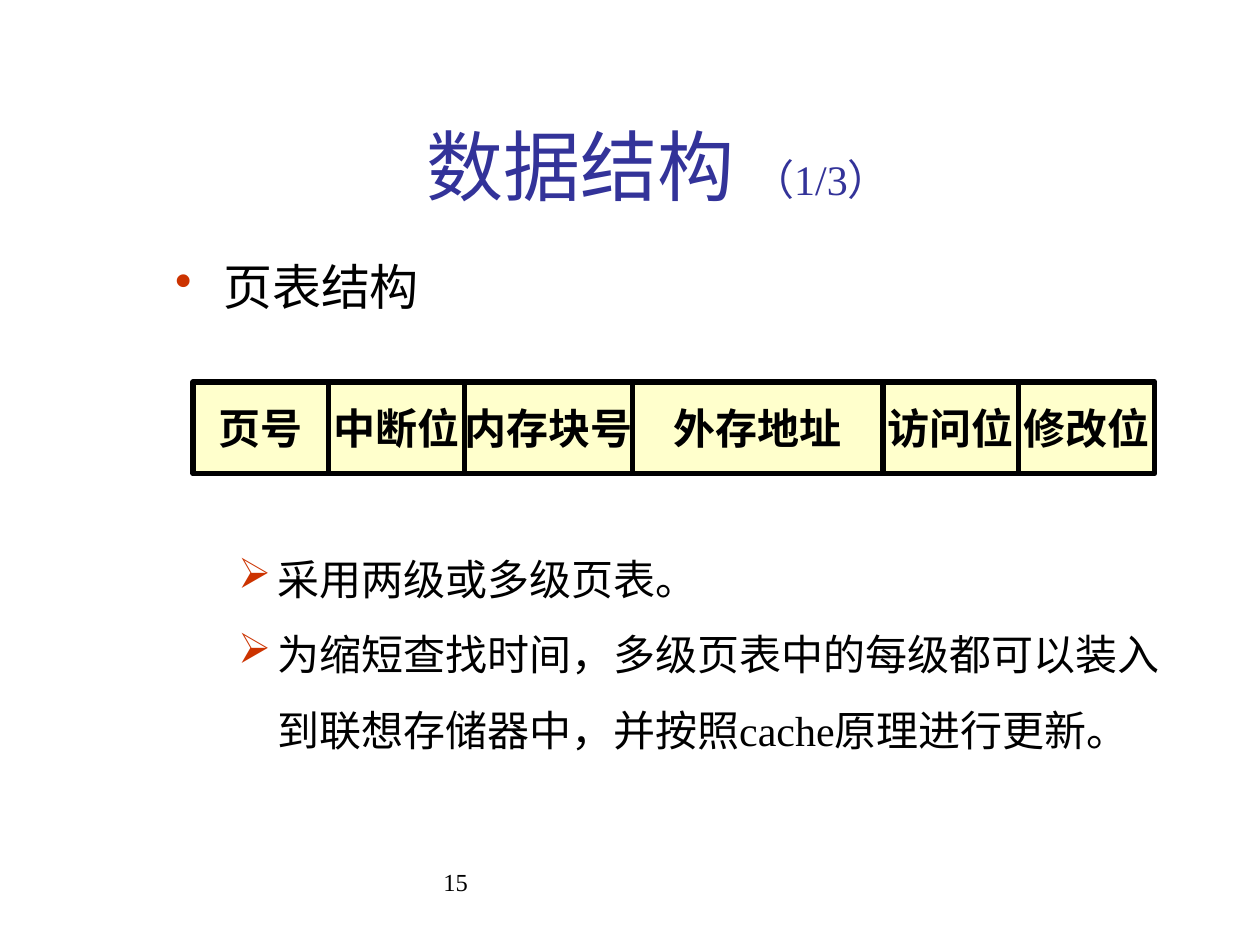
from lxml.etree import SubElement
from pptx import Presentation
from pptx.dml.color import RGBColor
from pptx.enum.shapes import MSO_SHAPE
from pptx.enum.text import MSO_ANCHOR, PP_ALIGN
from pptx.oxml.ns import qn
from pptx.util import Cm, Pt

SERIF = "Times New Roman"
BLACK, BLUE, RED, CREAM = "000000", "333399", "CC3300", "FFFFCC"
FIELDS = [("页号", 2.74), ("中断位", 2.74), ("内存块号", 3.38),
          ("外存地址", 5.05), ("访问位", 2.74), ("修改位", 2.74)]
TOPIC = dict(size=28, indent=0.97, hanging=0.97, bullet="•",
             format=dict(line_spacing=0.9))
POINT = dict(size=24, indent=2.06, hanging=0.79, bullet="➢")
BODY = [
    ("页表结构", TOPIC),
    ("采用两级或多级页表。",
     dict(POINT, format=dict(line_spacing=1.5, space_before=Pt(121)))),
    ("为缩短查找时间，多级页表中的每级都可以装入到联想存储器中，并按照cache原理进行更新。",
     dict(POINT, format=dict(line_spacing=1.5, space_before=Pt(0)))),
]


def color(value):
    return RGBColor.from_string(value)


def apply(target, values):
    for name, value in values.items():
        setattr(target, name, value)


def add_run(p, text, size, fill=BLACK, name=SERIF, bold=False):
    r = p.add_run()
    r.text = text
    apply(r.font, dict(size=Pt(size), name=name, bold=bold))
    r.font.color.rgb = color(fill)


def add_box(s, left, top, width, height, anchor=MSO_ANCHOR.TOP):
    sp = s.shapes.add_textbox(Cm(left), Cm(top), Cm(width), Cm(height))
    tf = sp.text_frame
    apply(tf, dict(word_wrap=True, vertical_anchor=anchor))
    return tf


def add_bullet(p, char, indent, hanging):
    pPr = p._p.get_or_add_pPr()
    pPr.set("marL", str(Cm(indent)))
    pPr.set("indent", str(-Cm(hanging)))
    clr = SubElement(pPr, qn("a:buClr"))
    SubElement(clr, qn("a:srgbClr"), val=RED)
    SubElement(pPr, qn("a:buChar"), char=char)


def add_title(s):
    tf = add_box(s, 3.07, 2.16, 20.4, 2.31, MSO_ANCHOR.MIDDLE)
    p = tf.paragraphs[0]
    p.alignment = PP_ALIGN.CENTER
    add_run(p, "数据结构 ", 44, BLUE)
    add_run(p, "（1/3）", 24, BLUE)


def add_body(s):
    tf = add_box(s, 3.28, 5.18, 20.8, 11)
    for i, (text, style) in enumerate(BODY):
        p = tf.add_paragraph() if i else tf.paragraphs[0]
        add_bullet(p, style["bullet"], style["indent"], style["hanging"])
        apply(p, style["format"])
        add_run(p, text, style["size"])


def add_field(row, text, left, width):
    sp = row.shapes.add_shape(MSO_SHAPE.RECTANGLE, Cm(left), Cm(7.7),
                              Cm(width), Cm(1.85))
    sp.shadow.inherit = False
    sp.fill.solid()
    sp.fill.fore_color.rgb = color(CREAM)
    sp.line.color.rgb = color(BLACK)
    sp.line.width = Pt(3)
    tf = sp.text_frame
    apply(tf, dict(word_wrap=False, vertical_anchor=MSO_ANCHOR.MIDDLE))
    p = tf.paragraphs[0]
    p.alignment = PP_ALIGN.CENTER
    add_run(p, text, 24, name="Arial", bold=True)


def add_page_entry(s):
    row = s.shapes.add_group_shape()
    left = 3.89
    for text, width in FIELDS:
        add_field(row, text, left, width)
        left += width


def add_number(s):
    tf = add_box(s, 8.69, 17.35, 8.05, 1.27)
    add_run(tf.paragraphs[0], "15", 14)


def main():
    prs = Presentation()
    apply(prs, dict(slide_width=Cm(25.4), slide_height=Cm(19.05)))
    s = prs.slides.add_slide(prs.slide_layouts[6])
    add_number(s)
    add_body(s)
    add_page_entry(s)
    add_title(s)
    prs.save("out.pptx")


if __name__ == "__main__":
    main()
